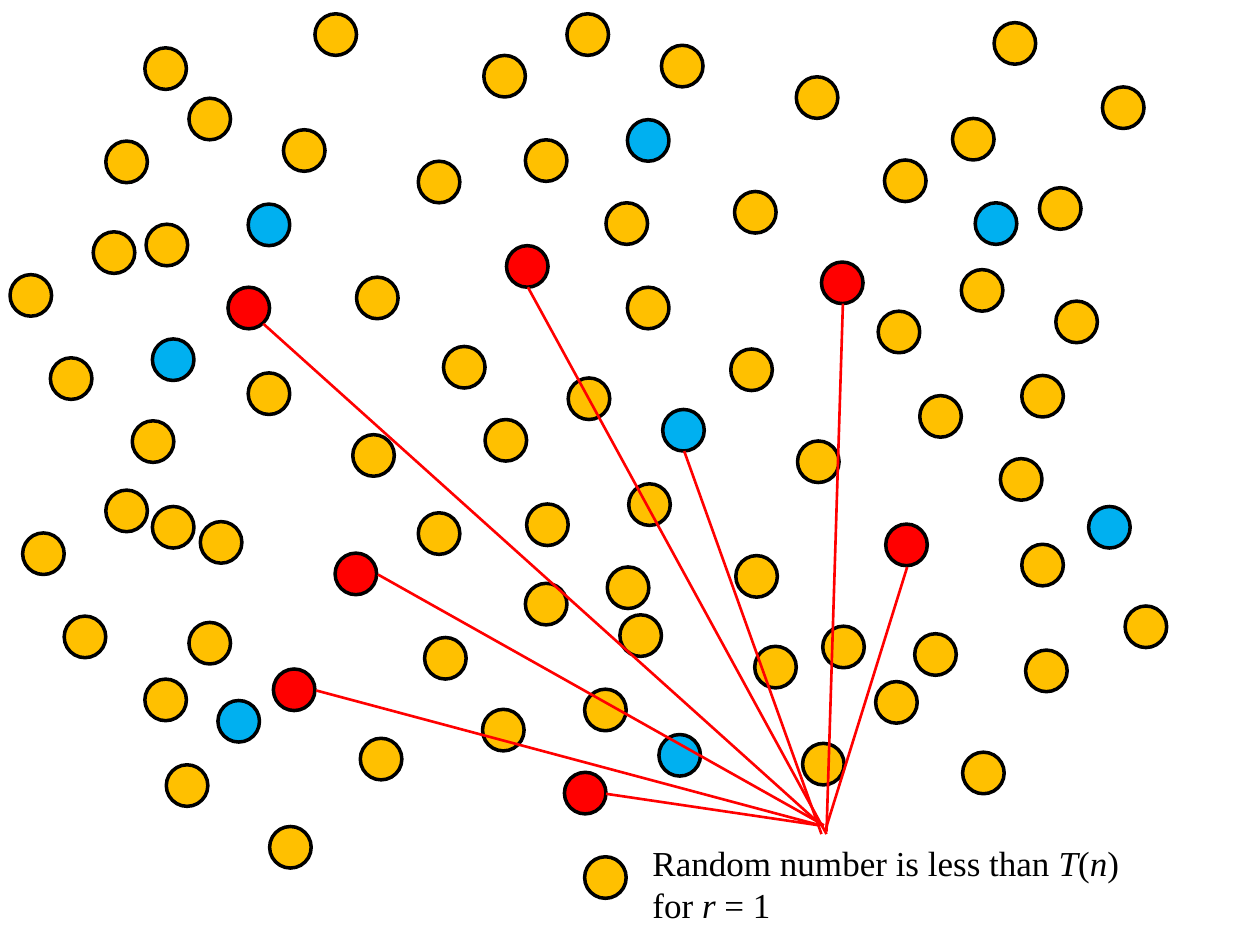
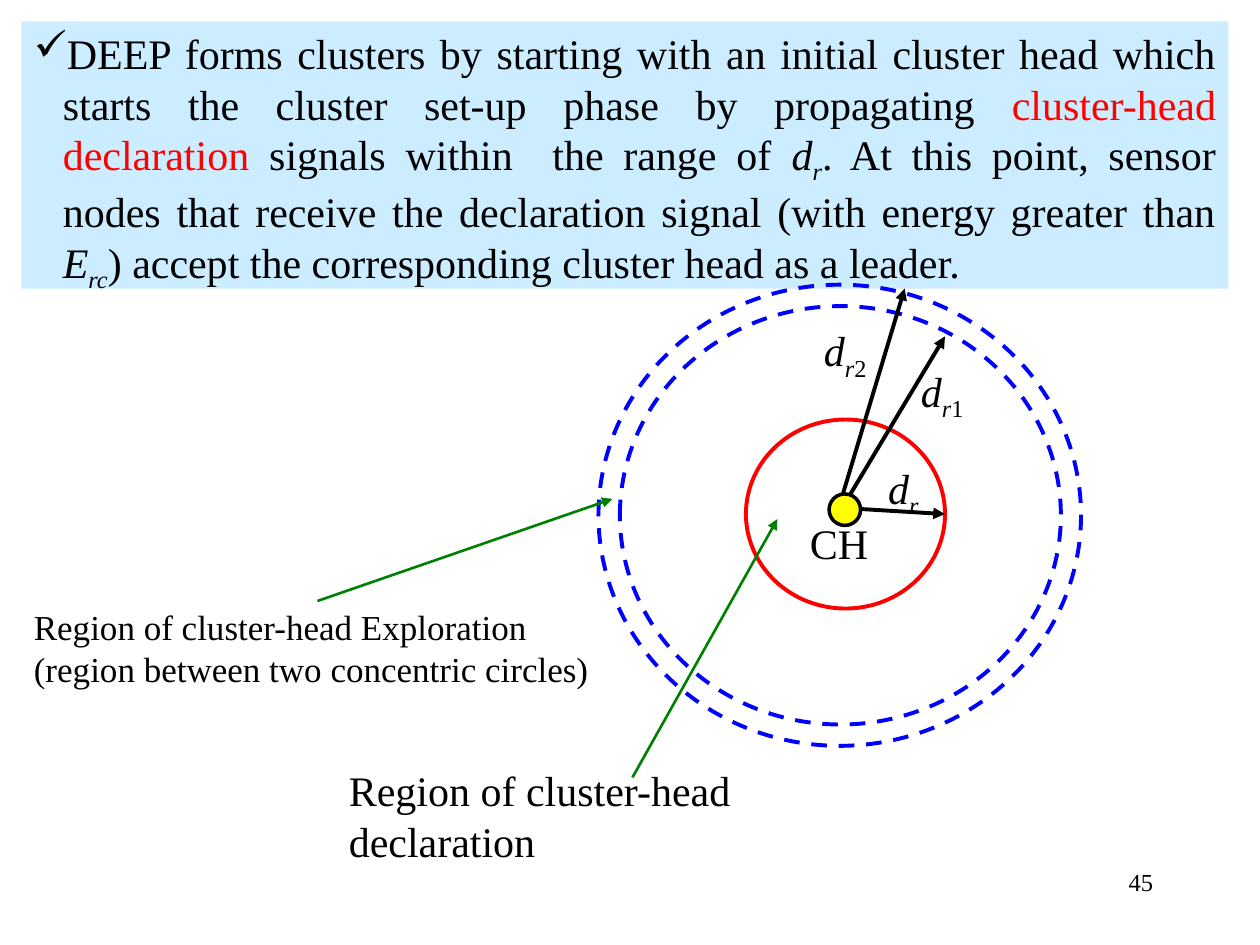
from dataclasses import dataclass

from lxml import etree
from pptx import Presentation
from pptx import util as u
from pptx.dml.color import RGBColor
from pptx.enum import dml, shapes, text
from pptx.oxml.ns import qn

BLANK_LAYOUT = 6


@dataclass(frozen=True)
class Theme:
    font: str = "Times New Roman"
    body: int = 24
    caption: int = 20
    footer: int = 14
    thin: float = 1.5
    outline: float = 2
    thick: float = 2.25
    black: str = "000000"
    red: str = "FF0000"
    amber: str = "FFC000"
    sky: str = "00B0F0"
    blue: str = "0000FF"
    green: str = "008000"
    yellow: str = "FFFF00"
    panel: str = "CCECFF"


THEME = Theme()


@dataclass(frozen=True)
class Span:
    words: str
    italic: bool = False
    sub: bool = False
    color: str = THEME.black


def symbol(name, index, digit=""):
    """Spans for an italic name with an italic index and an upright digit below."""
    spans = [Span(name, italic=True), Span(index, italic=True, sub=True)]
    return spans + ([Span(digit, sub=True)] if digit else [])


class Painter:
    """Holds the theme and the slide being drawn."""

    def __init__(self, deck, theme):
        self.deck = deck
        self.theme = theme
        self.page = None

    def new_page(self):
        layout = self.deck.slide_layouts[BLANK_LAYOUT]
        self.page = self.deck.slides.add_slide(layout)

    def shape(self, kind, at, fill=None, line=None, width=None, dashed=False):
        shape = self.page.shapes.add_shape(kind, *map(u.Inches, at))
        shape.shadow.inherit = False
        if fill:
            shape.fill.solid()
            shape.fill.fore_color.rgb = RGBColor.from_string(fill)
        else:
            shape.fill.background()
        if line:
            shape.line.color.rgb = RGBColor.from_string(line)
            shape.line.width = u.Pt(width)
        else:
            shape.line.fill.background()
        if dashed:
            shape.line.dash_style = dml.MSO_LINE.DASH
        return shape

    def circle(self, left, top, size, fill):
        self.shape(shapes.MSO_SHAPE.OVAL, (left, top, size, size), fill,
                   self.theme.black, self.theme.outline)

    def ring(self, at, color, dashed=False):
        self.shape(shapes.MSO_SHAPE.OVAL, at, None, color, self.theme.thick, dashed)

    def line(self, start, end, color, width, arrow=False):
        line = self.page.shapes.add_connector(
            shapes.MSO_CONNECTOR.STRAIGHT, *map(u.Inches, (*start, *end)))
        line.line.color.rgb = RGBColor.from_string(color)
        line.line.width = u.Pt(width)
        props = line._element.spPr
        if arrow:
            etree.SubElement(props.find(qn("a:ln")), qn("a:tailEnd"), type="triangle")
        etree.SubElement(props, qn("a:effectLst"))

    def set_text(self, box, paragraphs, size, align=text.PP_ALIGN.LEFT):
        frame = box.text_frame
        frame.word_wrap = True
        frame.vertical_anchor = text.MSO_ANCHOR.TOP
        for number, spans in enumerate(paragraphs):
            para = frame.add_paragraph() if number else frame.paragraphs[0]
            para.alignment = align
            for span in spans:
                run = para.add_run()
                run.text = span.words
                run.font.name = self.theme.font
                run.font.size = u.Pt(size)
                run.font.italic = span.italic
                run.font.color.rgb = RGBColor.from_string(span.color)
                if span.sub:
                    run._r.get_or_add_rPr().set("baseline", "-25000")

    def label(self, at, paragraphs, size, align=text.PP_ALIGN.LEFT):
        box = self.page.shapes.add_textbox(*map(u.Inches, at))
        self.set_text(box, paragraphs, size, align)

    def check_panel(self, at, spans):
        """Filled panel holding one justified paragraph with a check mark bullet."""
        panel = self.shape(shapes.MSO_SHAPE.RECTANGLE, at, self.theme.panel)
        self.set_text(panel, [spans], self.theme.body, text.PP_ALIGN.JUSTIFY)
        props = panel.text_frame.paragraphs[0]._p.get_or_add_pPr()
        hang = u.Inches(0.23)
        props.set("marL", str(hang))
        props.set("indent", str(-hang))
        etree.SubElement(props, qn("a:buChar"), char="✓")


NODE_SIZE = 0.33
SENSORS = {
    THEME.amber: [
        (7.89, 0.18), (1.5, 0.78), (1.16, 1.78), (2.25, 1.03), (0.84, 1.12),
        (3.32, 1.28), (1.97, 2.96), (2.8, 3.45), (2.83, 2.2), (3.52, 2.75),
        (4.5, 0.11), (4.17, 1.11), (5.25, 0.36), (4.81, 1.61), (3.84, 0.44),
        (6.32, 0.61), (4.98, 2.28), (7.02, 1.27), (5.8, 2.77), (5.83, 1.52),
        (4.51, 3), (4.18, 4), (4.82, 4.5), (3.85, 3.33), (6.33, 3.5),
        (4.99, 3.84), (7.26, 5.03), (5.84, 4.41), (6.53, 4.97), (0.84, 3.89),
        (0.51, 4.89), (1.59, 4.14), (1.15, 5.39), (0.18, 4.23), (1.32, 6.07),
        (3.37, 5.06), (2.14, 6.56), (2.86, 5.86), (7.63, 2.14), (7.3, 3.14),
        (8.38, 2.39), (7.94, 3.64), (6.97, 2.47), (8.11, 2.98), (8.11, 4.32),
        (8.75, 0.69), (8.93, 4.81), (7.56, 0.94), (8.25, 1.49), (4.17, 4.63),
        (3.83, 5.63), (4.92, 4.88), (3.32, 4.07), (5.99, 5.13), (4.64, 5.47),
        (4.64, 6.8), (8.14, 5.16), (6.37, 5.9), (6.95, 5.41), (7.64, 5.97),
        (0.74, 1.84), (0.4, 2.84), (2.5, 0.11), (1.05, 3.34), (0.08, 2.18),
        (1.21, 4.02), (1.15, 0.38), (1.5, 4.94),
    ],
    THEME.sky: [
        (1.97, 1.62), (4.98, 0.95), (5.26, 3.25), (5.23, 5.83), (1.21, 2.69),
        (7.74, 1.61), (1.73, 5.56), (8.64, 4.02),
    ],
    THEME.red: [
        (1.81, 2.28), (4.02, 1.95), (6.52, 2.08), (7.03, 4.16), (2.66, 4.39),
        (2.17, 5.31), (4.48, 6.13),
    ],
}
RAYS = [
    ((4.19, 2.28), (6.56, 6.62)), ((6.69, 2.41), (6.56, 6.6)),
    ((7.2, 4.5), (6.55, 6.59)), ((5.43, 3.58), (6.52, 6.62)),
    ((2.09, 2.57), (6.53, 6.56)), ((3, 4.56), (6.54, 6.55)),
    ((4.81, 6.3), (6.5, 6.55)), ((2.51, 5.48), (6.51, 6.55)),
]


def draw_sensor_field(painter):
    theme = painter.theme
    painter.new_page()
    for color, places in SENSORS.items():
        for left, top in places:
            painter.circle(left, top, NODE_SIZE, color)
    for start, end in RAYS:
        painter.line(start, end, theme.red, theme.thin)
    painter.label((5.08, 6.63, 3.96, 0.77), [[
        Span("Random number is less than "), Span("T", italic=True), Span("("),
        Span("n", italic=True), Span(") for "), Span("r", italic=True),
        Span(" = 1"),
    ]], theme.caption)


def draw_cluster_setup(painter):
    theme = painter.theme
    painter.new_page()
    painter.check_panel((0.17, 0.17, 9.58, 2.12), [
        Span("DEEP forms clusters by starting with an initial cluster head "
             "which starts the cluster set-up phase by propagating "),
        Span("cluster-head declaration ", color=theme.red),
        Span("signals within  the range of "),
        *symbol("d", "r"),
        Span(". At this point, sensor nodes that receive the declaration "
             "signal (with energy greater than "),
        *symbol("E", "rc"),
        Span(") accept the corresponding cluster head as a leader. "),
    ])
    painter.label((7.17, 6.83, 2.08, 0.5), [[Span("45")]], theme.footer,
                  text.PP_ALIGN.RIGHT)

    painter.ring((5.92, 3.33, 1.58, 1.5), theme.red)
    painter.ring((4.92, 2.43, 3.5, 3.32), theme.blue, dashed=True)
    painter.ring((4.75, 2.26, 3.83, 3.66), theme.blue, dashed=True)
    painter.circle(6.58, 3.92, 0.25, theme.yellow)

    radii = [((6.83, 4.04), (7.5, 4.08)), ((6.75, 3.92), (7.5, 2.67)),
             ((6.69, 3.92), (7.18, 2.29))]
    for start, end in radii:
        painter.line(start, end, theme.black, theme.thick, arrow=True)
    radius_labels = [
        (6.95, 3.62, symbol("d", "r")),
        (7.21, 2.85, symbol("d", "r", "1")),
        (6.44, 2.53, symbol("d", "r", "2")),
        (6.33, 4.06, [Span("CH")]),
    ]
    for left, top, spans in radius_labels:
        painter.label((left, top, 0.83, 0.5), [spans], theme.body)

    regions = [
        ((5.02, 6.17), (6.17, 4.12), (2.67, 6.02, 3.34, 0.91), theme.body,
         ["Region of cluster-head", "declaration"]),
        ((2.52, 4.77), (4.86, 3.96), (0.17, 4.76, 4.69, 0.77), theme.caption,
         ["Region of cluster-head Exploration",
          "(region between two concentric circles)"]),
    ]
    for start, end, at, size, lines in regions:
        painter.line(start, end, theme.green, theme.thin, arrow=True)
        painter.label(at, [[Span(words)] for words in lines], size)


def main():
    deck = Presentation()
    deck.slide_width, deck.slide_height = u.Inches(10), u.Inches(7.5)
    painter = Painter(deck, THEME)
    draw_sensor_field(painter)
    draw_cluster_setup(painter)
    deck.save("out.pptx")


if __name__ == "__main__":
    main()
